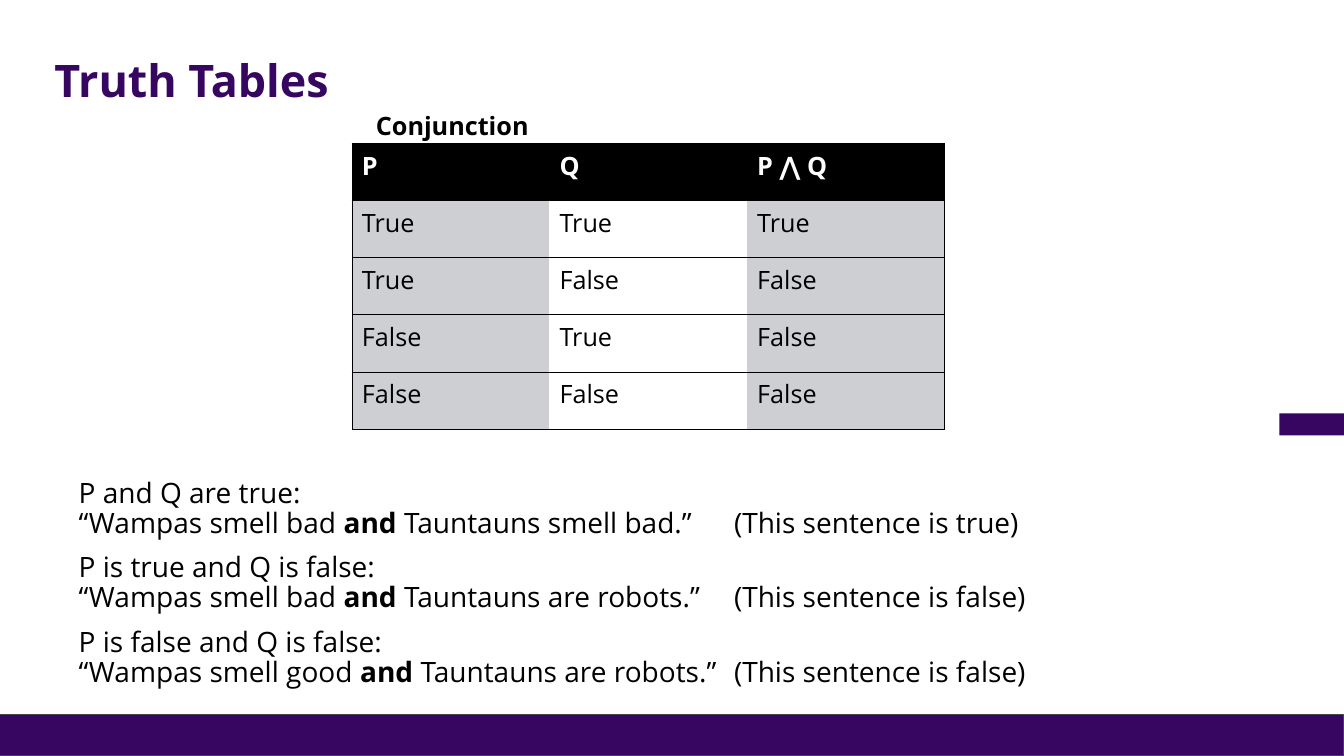
from dataclasses import dataclass

import pptx
import pptx.dml.color
import pptx.enum.shapes
import pptx.enum.text
import pptx.oxml.ns
import pptx.util
from lxml import etree

FONT = "Open Sans"
PURPLE = "370661"
TITLE_PURPLE = "370660"
BLACK = "000000"
WHITE = "FFFFFF"
GREY = "CECFD2"
SLIDE_WIDTH = pptx.util.Inches(13.33)
SLIDE_HEIGHT = pptx.util.Inches(7.5)


@dataclass(frozen=True)
class Area:
    """A rectangle in percent of the slide's width and height."""
    left: float
    top: float
    width: float
    height: float

    def box(self) -> tuple[int, int, int, int]:
        return (across(self.left), down(self.top),
                across(self.width), down(self.height))


@dataclass(frozen=True)
class Band:
    area: Area
    outline: str | None


@dataclass(frozen=True)
class Example:
    case: str
    first_claim: str
    second_claim: str
    verdict: str


BANDS = [
    Band(Area(0, 94.53, 100, 5.47), "43454B"),
    Band(Area(95.2, 54.67, 4.8, 2.93), None),
]
TITLE_AREA = Area(3.3, 5.33, 89.87, 11.2)
TABLE_AREA = Area(26.18, 18.93, 44.11, 37.87)
CAPTION_AREA = Area(27.23, 13.87, 13.05, 5.33)
EXAMPLES_AREA = Area(5.1, 62.67, 88.07, 29.6)
VERDICT_TAB = 52.51

TRUTH_ROWS = [
    ("P", "Q", "P ⋀ Q"),
    ("True", "True", "True"),
    ("True", "False", "False"),
    ("False", "True", "False"),
    ("False", "False", "False"),
]
EXAMPLES = [
    Example("P and Q are true:", "“Wampas smell bad ",
            "Tauntauns smell bad.”", "(This sentence is true)"),
    Example("P is true and Q is false:", "“Wampas smell bad ",
            "Tauntauns are robots.”", "(This sentence is false)"),
    Example("P is false and Q is false:", "“Wampas smell good ",
            "Tauntauns are robots.”", "(This sentence is false)"),
]


def across(percent: float) -> int:
    return round(SLIDE_WIDTH * percent / 100)


def down(percent: float) -> int:
    return round(SLIDE_HEIGHT * percent / 100)


def color(code: str) -> pptx.dml.color.RGBColor:
    return pptx.dml.color.RGBColor.from_string(code)


def add_element(parent, tag: str, **attributes: str):
    return etree.SubElement(parent, pptx.oxml.ns.qn(tag), attributes)


def move(shape, area: Area) -> None:
    shape.left, shape.top, shape.width, shape.height = area.box()


def style(paragraph, size: float, code: str, bold: bool | None = None) -> None:
    paragraph.font.name = FONT
    paragraph.font.size = pptx.util.Pt(size)
    paragraph.font.color.rgb = color(code)
    paragraph.font.bold = bold


def draw_band(slide, band: Band) -> None:
    rectangle = slide.shapes.add_shape(
        pptx.enum.shapes.MSO_SHAPE.RECTANGLE, *band.area.box())
    rectangle.shadow.inherit = False
    rectangle.fill.solid()
    rectangle.fill.fore_color.rgb = color(PURPLE)
    if band.outline:
        rectangle.line.color.rgb = color(band.outline)
        rectangle.line.width = pptx.util.Pt(0.75)
    else:
        rectangle.line.fill.background()


def draw_title(slide) -> None:
    title = slide.shapes.title
    move(title, TITLE_AREA)
    title.text_frame.vertical_anchor = pptx.enum.text.MSO_ANCHOR.MIDDLE
    title.text_frame.text = "Truth Tables"
    heading = title.text_frame.paragraphs[0]
    heading.alignment = pptx.enum.text.PP_ALIGN.LEFT
    heading.line_spacing = 0.9
    style(heading, 32, TITLE_PURPLE, True)


def set_borders(cell, visible_sides: set[str]) -> None:
    """Rule the visible sides in black and clear the others."""
    properties = cell._tc.get_or_add_tcPr()
    for position, side in enumerate(("lnL", "lnR", "lnT", "lnB")):
        line = etree.Element(pptx.oxml.ns.qn(f"a:{side}"),
                             w=str(pptx.util.Pt(0.5)))
        if side in visible_sides:
            add_element(add_element(line, "a:solidFill"), "a:srgbClr", val=BLACK)
        else:
            add_element(line, "a:noFill")
        properties.insert(position, line)


def draw_truth_table(slide) -> None:
    column_count = len(TRUTH_ROWS[0])
    table = slide.shapes.add_table(
        len(TRUTH_ROWS), column_count, *TABLE_AREA.box()).table
    for row, values in enumerate(TRUTH_ROWS):
        for column, value in enumerate(values):
            is_header = row == 0
            cell = table.cell(row, column)
            cell.text = value
            style(cell.text_frame.paragraphs[0], 18,
                  WHITE if is_header else BLACK, is_header)
            cell.fill.solid()
            stripe = WHITE if column % 2 else GREY
            cell.fill.fore_color.rgb = color(BLACK if is_header else stripe)
            sides = {"lnT", "lnB"}
            if column == 0:
                sides.add("lnL")
            if column == column_count - 1:
                sides.add("lnR")
            set_borders(cell, sides)


def draw_caption(slide) -> None:
    caption = slide.shapes.add_textbox(*CAPTION_AREA.box())
    caption.text_frame.word_wrap = False
    caption.text_frame.auto_size = pptx.enum.text.MSO_AUTO_SIZE.SHAPE_TO_FIT_TEXT
    caption.text_frame.text = "Conjunction"
    style(caption.text_frame.paragraphs[0], 18, BLACK, True)


def write_example(paragraph, example: Example, is_first: bool) -> None:
    paragraph.line_spacing = 0.9
    paragraph.space_before = pptx.util.Pt(0 if is_first else 10)
    properties = paragraph._p.get_or_add_pPr()
    properties.set("marL", "0")
    properties.set("indent", "0")
    add_element(properties, "a:buNone")
    add_element(add_element(properties, "a:tabLst"), "a:tab",
                pos=str(across(VERDICT_TAB)), algn="l")
    style(paragraph, 20, BLACK)
    paragraph.add_run().text = example.case
    paragraph.add_line_break()
    paragraph.add_run().text = example.first_claim
    connective = paragraph.add_run()
    connective.text = "and "
    connective.font.bold = True
    paragraph.add_run().text = f"{example.second_claim} \t{example.verdict}"


def draw_examples(slide) -> None:
    body = slide.placeholders[1]
    move(body, EXAMPLES_AREA)
    frame = body.text_frame
    frame.auto_size = pptx.enum.text.MSO_AUTO_SIZE.TEXT_TO_FIT_SHAPE
    for index, example in enumerate(EXAMPLES):
        paragraph = frame.add_paragraph() if index else frame.paragraphs[0]
        write_example(paragraph, example, index == 0)


def main() -> None:
    presentation = pptx.Presentation()
    presentation.slide_width = SLIDE_WIDTH
    presentation.slide_height = SLIDE_HEIGHT
    slide = presentation.slides.add_slide(presentation.slide_layouts[1])
    for band in BANDS:
        draw_band(slide, band)
    draw_title(slide)
    draw_truth_table(slide)
    draw_caption(slide)
    draw_examples(slide)
    presentation.save("out.pptx")


if __name__ == "__main__":
    main()
